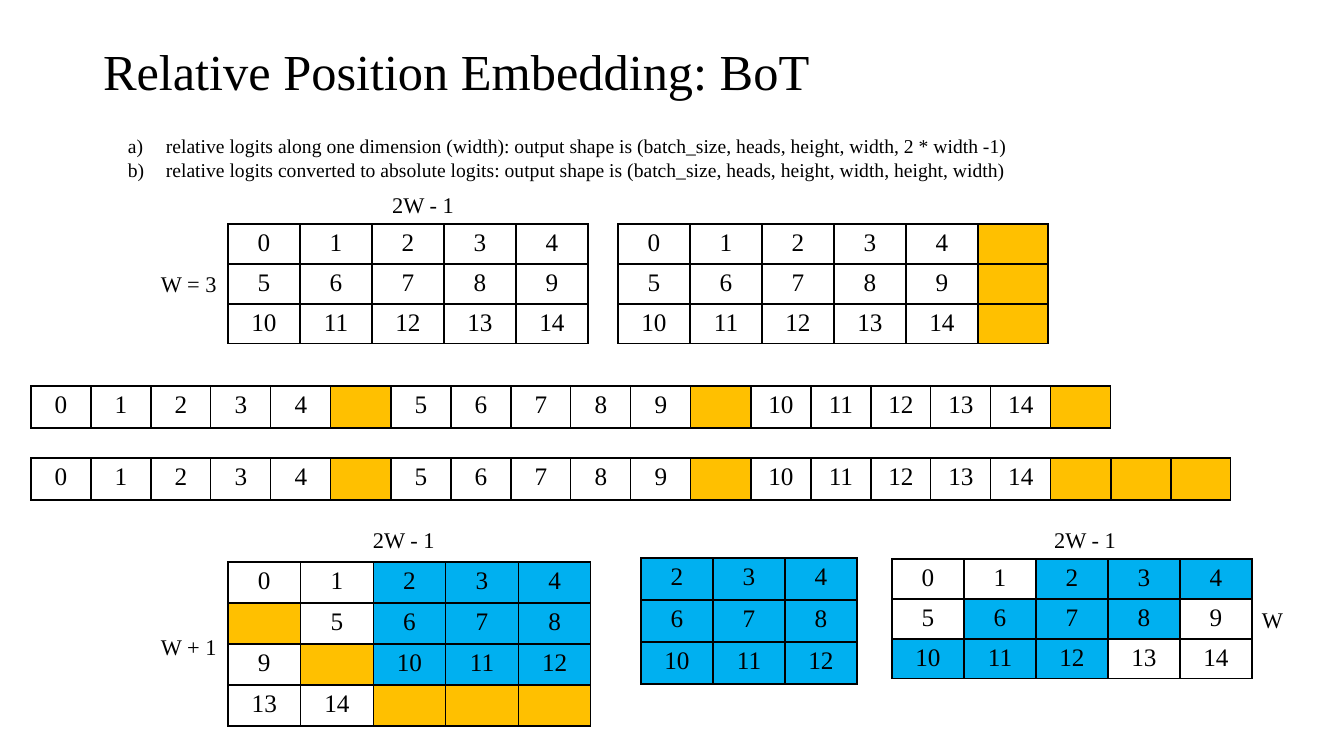
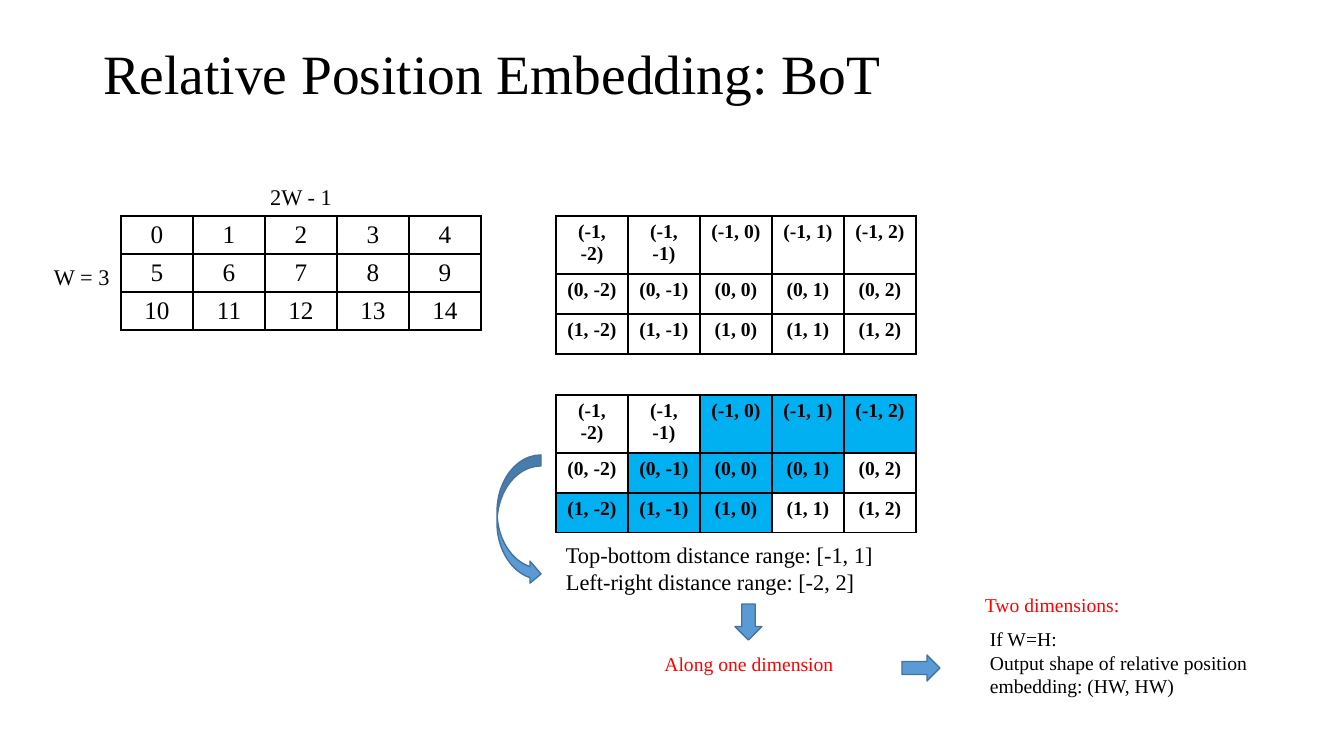
import lxml.etree
import pptx
import pptx.dml.color
import pptx.enum.shapes
import pptx.enum.text
import pptx.oxml.ns
import pptx.util

PX = 914400 / 100.8
COLORS = {"ink": "000000", "paper": "FFFFFF", "padding": "FFC000", "kept": "00B0F0",
          "accent": "FF0000", "arrow": "5B9BD5", "arrow_edge": "43739E"}
FONT = "Times New Roman"
TITLE = "Relative Position Embedding: BoT"
ALIGN = pptx.enum.text.PP_ALIGN
SHAPE = pptx.enum.shapes.MSO_SHAPE

W = 3
SPAN = 2 * W - 1
KEPT = {2, 3, 4, 6, 7, 8, 10, 11, 12}


def px(n):
    return pptx.util.Emu(round(n * PX))


def rgb(name):
    return pptx.dml.color.RGBColor.from_string(COLORS[name])


def sub(parent, tag, **attrs):
    return lxml.etree.SubElement(parent, pptx.oxml.ns.qn(tag), attrs)


def write(tf, text, size=16, color="ink", bold=False, align=ALIGN.LEFT,
          spacing=None, lettered=False):
    """Fill a text frame, one paragraph for each line of text."""
    for i, line in enumerate(text.split("\n")):
        p = tf.add_paragraph() if i else tf.paragraphs[0]
        p.alignment = align
        if spacing:
            p.line_spacing = spacing
        if lettered:
            pPr = p._p.get_or_add_pPr()
            pPr.set("marL", str(px(38)))
            pPr.set("indent", str(-px(38)))
            sub(pPr, "a:buAutoNum", type="alphaLcParenR")
        r = p.add_run()
        r.text = line
        r.font.name = FONT
        r.font.size = pptx.util.Pt(size)
        r.font.bold = bold
        r.font.color.rgb = rgb(color)


def border(cell):
    tcPr = cell._tc.get_or_add_tcPr()
    for tag in ("a:lnL", "a:lnR", "a:lnT", "a:lnB"):
        ln = sub(tcPr, tag, w=str(pptx.util.Pt(1)))
        sub(sub(ln, "a:solidFill"), "a:srgbClr", val=COLORS["ink"])


class Deck:
    def __init__(self):
        self.prs = pptx.Presentation()
        self.prs.slide_width, self.prs.slide_height = px(1344), px(756)
        self.slide = None

    def add_slide(self, title, size, height):
        self.slide = self.prs.slides.add_slide(self.prs.slide_layouts[5])
        sp = self.slide.shapes.title
        sp.left, sp.top, sp.width, sp.height = px(93), px(40), px(1159), px(height)
        tf = sp.text_frame
        tf.auto_size = pptx.enum.text.MSO_AUTO_SIZE.NONE
        tf.vertical_anchor = pptx.enum.text.MSO_ANCHOR.MIDDLE
        write(tf, title, size=size, spacing=0.9)

    def text(self, x, y, w, h, text, **fmt):
        tf = self.slide.shapes.add_textbox(px(x), px(y), px(w), px(h)).text_frame
        tf.word_wrap = True
        write(tf, text, **fmt)

    def label(self, x, y, text, w=84, **fmt):
        self.text(x, y, w, 37, text, **fmt)

    def grid(self, x, y, w, heights, rows, kept=(), name=str, **fmt):
        """Draw rows of position indices; None is a padding cell."""
        n = len(rows[0])
        table = self.slide.shapes.add_table(
            len(rows), n, px(x), px(y), px(w), px(sum(heights))).table
        table.first_row = table.horz_banding = False
        for col in table.columns:
            col.width = px(w / n)
        for r, row in enumerate(rows):
            table.rows[r].height = px(heights[r])
            for c, index in enumerate(row):
                cell = table.cell(r, c)
                cell.margin_bottom = px(2)
                border(cell)
                fill = ("padding" if index is None else
                        "kept" if index in kept else "paper")
                cell.fill.solid()
                cell.fill.fore_color.rgb = rgb(fill)
                if index is not None:
                    write(cell.text_frame, name(index), align=ALIGN.CENTER,
                          **{"size": 18, **fmt})

    def arrow(self, kind, x, y, w, h):
        sp = self.slide.shapes.add_shape(kind, px(x), px(y), px(w), px(h))
        sp.shadow.inherit = False
        sp.fill.solid()
        sp.fill.fore_color.rgb = rgb("arrow")
        sp.line.color.rgb = rgb("arrow_edge")
        sp.line.width = pptx.util.Pt(1)


def chunks(items, n):
    return [items[i:i + n] for i in range(0, len(items), n)]


def offset(index):
    """Name the vertical and horizontal distance of a position."""
    return f"({index // SPAN - 1}, {index % SPAN - 2})"


RELATIVE = chunks(list(range(W * SPAN)), SPAN)
PADDED = [row + [None] for row in RELATIVE]
SHIFTED = chunks(sum(PADDED, []) + [None] * (W - 1), SPAN)
ABSOLUTE = [row[W - 1:] for row in SHIFTED[:W]]


def build_shift_slide(deck):
    deck.add_slide(TITLE, 36, 69)
    deck.text(118, 129, 916, 57,
              "relative logits along one dimension (width): output shape is "
              "(batch_size, heads, height, width, 2 * width -1)\n"
              "relative logits converted to absolute logits: output shape is "
              "(batch_size, heads, height, width, height, width)",
              size=14, lettered=True)

    three = [40] * W
    deck.grid(228, 224, 360, three, RELATIVE)
    deck.label(151, 265, "W = 3")
    deck.label(379, 186, "2W - 1", w=88, align=ALIGN.CENTER)
    deck.grid(978, 224, 70, three, [[None]] * W)
    deck.grid(618, 224, 360, three, RELATIVE)

    for y in (386, 458):
        for i, row in enumerate(PADDED):
            deck.grid(31 + 360 * i, y, 360, [42], [row])
    deck.grid(1111, 458, 120, [42], [[None] * (W - 1)])

    deck.grid(228, 562, 363, [41] * (W + 1), SHIFTED, KEPT)
    deck.label(151, 628, "W + 1")
    deck.label(363, 521, "2W - 1", w=95)
    deck.grid(641, 558, 216, [42] * W, ABSOLUTE, KEPT)
    deck.grid(892, 559, 360, three, RELATIVE, KEPT)
    deck.label(1252, 601, "W", w=44)
    deck.label(1041, 521, "2W - 1", w=88, align=ALIGN.CENTER)


def build_distance_slide(deck):
    deck.add_slide(TITLE, 39.6, 73)
    deck.grid(121, 216, 360, [38] * W, RELATIVE)
    deck.label(44, 258, "W = 3")
    deck.label(257, 178, "2W - 1", w=88, align=ALIGN.CENTER)

    for y, kept in ((216, ()), (395, KEPT)):
        deck.grid(556, y, 360, [58, 40, 40], RELATIVE, kept, offset, size=14, bold=True)

    deck.text(556, 536, 383, 65,
              "Top-bottom distance range: [-1, 1]\nLeft-right distance range: [-2, 2]",
              align=ALIGN.JUSTIFY)
    deck.text(980, 622, 325, 82,
              "If W=H:\nOutput shape of relative position embedding: (HW, HW)", size=14)
    deck.arrow(SHAPE.CURVED_RIGHT_ARROW, 497, 455, 44, 130)
    deck.arrow(SHAPE.DOWN_ARROW, 735, 604, 27, 36)
    deck.label(635, 647, "Along one dimension", w=228, size=14, color="accent",
               align=ALIGN.CENTER)
    deck.arrow(SHAPE.RIGHT_ARROW, 902, 655, 38, 26)
    deck.label(975, 588, "Two dimensions:", w=223, size=14, color="accent")


def main():
    deck = Deck()
    build_shift_slide(deck)
    build_distance_slide(deck)
    deck.prs.save("out.pptx")


if __name__ == "__main__":
    main()
